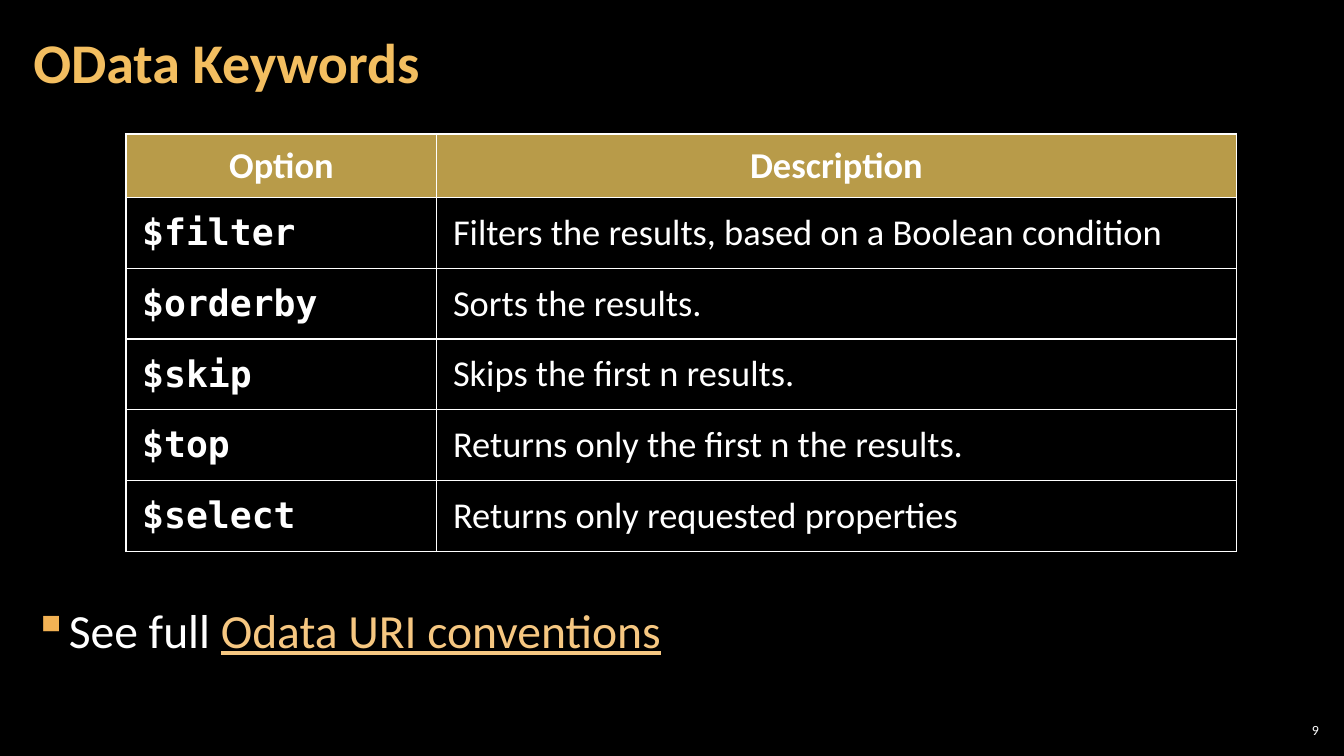
from lxml.etree import SubElement
from pptx import Presentation
from pptx.dml.color import RGBColor
from pptx.enum.text import MSO_ANCHOR, MSO_AUTO_SIZE, PP_ALIGN
from pptx.oxml.ns import qn
from pptx.util import Inches, Pt

WHITE, BLACK, GOLD = "FFFFFF", "000000", "F3BE60"
LINK, BULLET, HEADER = "F6C781", "F2B254", "F3CD60"
SANS, MONO = "Calibri", "DejaVu Sans Mono"

HEADINGS = ("Option", "Description")
OPTIONS = (
    ("$filter", "Filters the results, based on a Boolean condition"),
    ("$orderby", "Sorts the results."),
    ("$skip", "Skips the first n results."),
    ("$top", "Returns only the first n the results."),
    ("$select", "Returns only requested properties"),
)


def colour(value):
    return RGBColor.from_string(value)


def apply(target, values):
    for name, value in values.items():
        setattr(target, name, value)


def margins(side, end):
    return {
        "margin_left": Inches(side), "margin_right": Inches(side),
        "margin_top": Inches(end), "margin_bottom": Inches(end),
    }


class KeywordPage:
    """Adds elements to one page; lengths are percentages of the page size."""

    def __init__(self, deck):
        self.deck = deck
        self.page = deck.slides.add_slide(deck.slide_layouts[5])
        background = self.page.background.fill
        background.solid()
        background.fore_color.rgb = colour(BLACK)

    def across(self, share):
        return int(self.deck.slide_width * share / 100)

    def down(self, share):
        return int(self.deck.slide_height * share / 100)

    def place(self, left, top, width, height):
        return self.across(left), self.down(top), self.across(width), self.down(height)

    def add_span(self, para, words, size, shade=WHITE, font=SANS, **style):
        span = para.add_run()
        span.text = words
        apply(span.font, {"size": Pt(size), "name": font, **style})
        span.font.color.rgb = colour(shade)

    def frame(self, box, side=0.12, anchor=MSO_ANCHOR.TOP):
        """Formats the text frame of a box and returns its first paragraph."""
        apply(box.text_frame, {
            "word_wrap": True, "auto_size": MSO_AUTO_SIZE.NONE,
            "vertical_anchor": anchor, **margins(side, 0.04),
        })
        return box.text_frame.paragraphs[0]

    def title(self, words, *area):
        box = self.page.shapes.title
        apply(box, dict(zip(("left", "top", "width", "height"), self.place(*area))))
        para = self.frame(box, anchor=MSO_ANCHOR.MIDDLE)
        apply(para, {"alignment": PP_ALIGN.LEFT, "line_spacing": 0.9})
        self.add_span(para, words, 40, GOLD, bold=True)

    def bullet(self, words, link, *area):
        para = self.frame(self.page.shapes.add_textbox(*self.place(*area)))
        apply(para, {"line_spacing": 1.05, "space_before": Pt(3), "space_after": Pt(6)})
        self.add_span(para, words, 34)
        self.add_span(para, link, 34, LINK, underline=True)
        properties = para._p.get_or_add_pPr()
        properties.set("marL", str(Inches(0.33)))
        properties.set("indent", str(-Inches(0.33)))
        tint = SubElement(properties, qn("a:buClr"))
        SubElement(tint, qn("a:srgbClr"), val=BULLET)
        SubElement(properties, qn("a:buChar"), char="▪")

    def number(self, words, *area):
        box = self.page.shapes.add_textbox(*self.place(*area))
        para = self.frame(box, 0.04, MSO_ANCHOR.MIDDLE)
        para.alignment = PP_ALIGN.RIGHT
        self.add_span(para, words, 10)

    def border(self, cell):
        properties = cell._tc.get_or_add_tcPr()
        for edge in ("lnL", "lnR", "lnT", "lnB"):
            line = SubElement(properties, qn(f"a:{edge}"), w=str(Pt(1)))
            SubElement(SubElement(line, qn("a:solidFill")), qn("a:srgbClr"), val=WHITE)

    def cell(self, cell, words, is_header, is_option):
        apply(cell, {
            "vertical_anchor": MSO_ANCHOR.MIDDLE,
            **margins(0.16, 0.09 if is_header else 0.13),
        })
        self.border(cell)
        if is_header:
            cell.fill.solid()
            cell.fill.fore_color.rgb = colour(HEADER)
            tint = cell._tc.tcPr.find(f"{qn('a:solidFill')}/{qn('a:srgbClr')}")
            SubElement(tint, qn("a:alpha"), val="76000")
        else:
            cell.fill.background()
        para = cell.text_frame.paragraphs[0]
        para.alignment = PP_ALIGN.CENTER if is_header else PP_ALIGN.LEFT
        font = MONO if is_option and not is_header else SANS
        self.add_span(para, words, 26, font=font, bold=is_header or is_option)

    def table(self, rows, column_shares, row_heights, *area):
        grid = self.page.shapes.add_table(
            len(rows), len(column_shares), *self.place(*area)).table
        apply(grid, {"first_row": False, "horz_banding": False})
        for column, share in zip(grid.columns, column_shares):
            column.width = self.across(area[2] * share)
        for index, words in enumerate(rows):
            grid.rows[index].height = self.down(row_heights[min(index, 1)])
            for place, text in enumerate(words):
                self.cell(grid.cell(index, place), text, index == 0, place == 0)


def main():
    deck = Presentation()
    apply(deck, {"slide_width": Inches(13.33), "slide_height": Inches(7.5)})
    page = KeywordPage(deck)
    page.number("9", 94.9, 95.2, 3.53, 2.8)
    page.bullet("See full ", "Odata URI conventions", 1.58, 78.53, 96.85, 18)
    page.title("OData Keywords", 1.58, 0.53, 78.54, 16.13)
    page.table((HEADINGS, *OPTIONS), (0.28, 0.72), (8.4, 9.28),
               9.38, 17.73, 82.6, 54.8)
    deck.save("out.pptx")


if __name__ == "__main__":
    main()
